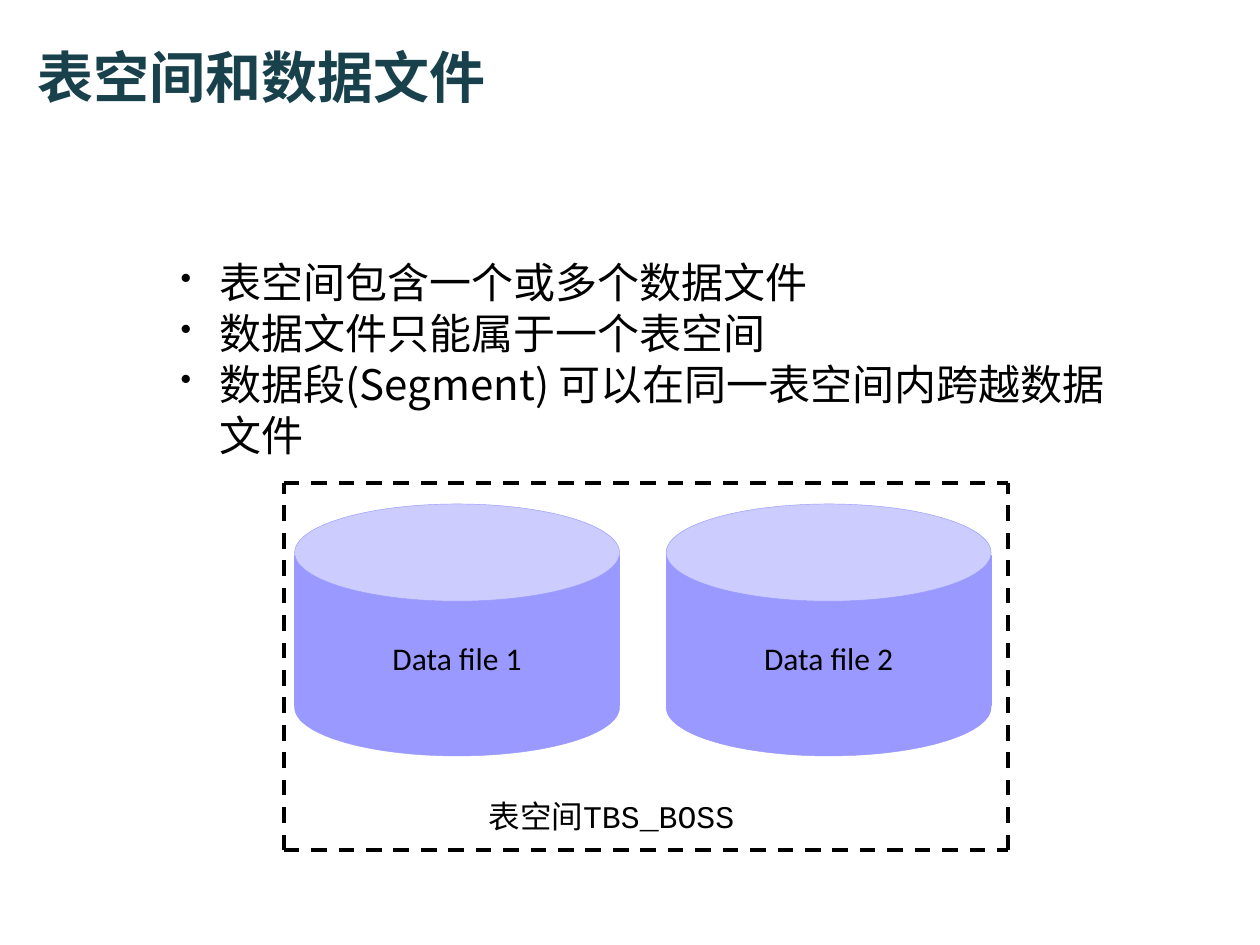
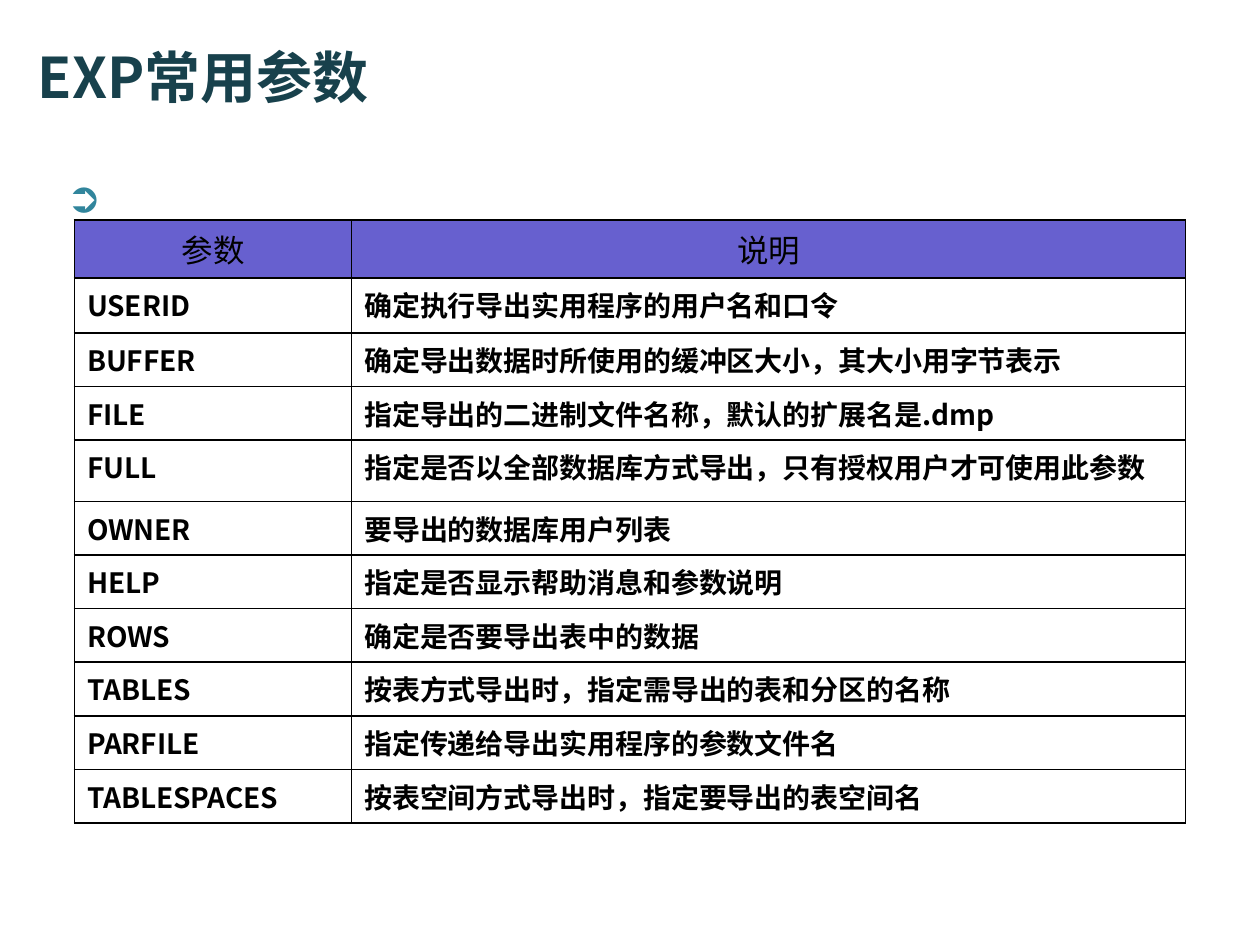
from dataclasses import dataclass

from lxml import etree
from pptx import Presentation
from pptx.dml.color import RGBColor
from pptx.enum.dml import MSO_LINE
from pptx.enum.shapes import MSO_CONNECTOR, MSO_SHAPE
from pptx.enum.text import MSO_ANCHOR, PP_ALIGN
from pptx.oxml.ns import qn
from pptx.util import Cm, Pt

RECTANGLE = MSO_SHAPE.RECTANGLE
OVAL = MSO_SHAPE.OVAL
STRAIGHT = MSO_CONNECTOR.STRAIGHT
DASH = MSO_LINE.DASH
LEFT, CENTER = PP_ALIGN.LEFT, PP_ALIGN.CENTER
TOP, MIDDLE = MSO_ANCHOR.TOP, MSO_ANCHOR.MIDDLE


@dataclass(frozen=True)
class Theme:
    title: str = "18414C"
    ink: str = "000000"
    marker: str = "31859C"
    file_body: str = "9999FF"
    file_top: str = "CCCCFF"
    table_head: str = "6760CF"
    sans: str = "Noto Sans CJK SC"
    latin: str = "Calibri"
    mono: str = "Courier New"
    title_size: int = 32
    body_size: int = 24
    label_size: int = 18
    cell_size: int = 16


THEME = Theme()


def add_node(parent, tag, **attributes):
    return etree.SubElement(parent, qn(tag), attributes)


def write_text(frame, text, *, size, font=THEME.sans, color=THEME.ink, bold=False,
               align=LEFT, spacing=None, bullet=None):
    for index, line in enumerate(text.split("\n")):
        paragraph = frame.add_paragraph() if index else frame.paragraphs[0]
        paragraph.alignment = align
        if spacing:
            paragraph.line_spacing = spacing
        if bullet:
            properties = paragraph._p.get_or_add_pPr()
            properties.set("marL", str(Cm(2.06)))
            properties.set("indent", str(Cm(-0.79)))
            add_node(properties, "a:buSzPct", val="75000")
            add_node(properties, "a:buChar", char=bullet)
        run = paragraph.add_run()
        run.text = line
        run.font.size = Pt(size)
        run.font.bold = bold
        run.font.name = font
        run.font.color.rgb = RGBColor.from_string(color)
        add_node(run._r.get_or_add_rPr(), "a:ea", typeface=THEME.sans)


class Deck:
    def __init__(self, theme):
        self.theme = theme
        self.presentation = Presentation()
        self.presentation.slide_width = Cm(25.4)
        self.presentation.slide_height = Cm(19.05)
        self.slide = None

    def new_slide(self, title):
        self.slide = self.presentation.slides.add_slide(self.presentation.slide_layouts[6])
        self.text(title, 0.51, 0.53, 22.35, 2.01, anchor=MIDDLE, bold=True,
                  size=self.theme.title_size, color=self.theme.title)

    def text(self, text, left, top, width, height, inset=(0.25, 0.13), anchor=TOP, **style):
        box = self.slide.shapes.add_textbox(Cm(left), Cm(top), Cm(width), Cm(height))
        frame = box.text_frame
        frame.word_wrap = True
        frame.vertical_anchor = anchor
        frame.margin_left = frame.margin_right = Cm(inset[0])
        frame.margin_top = frame.margin_bottom = Cm(inset[1])
        write_text(frame, text, **style)

    def label(self, text, left, top, width, **style):
        self.text(text, left, top, width, 0.83, inset=(0.15, 0.08),
                  size=self.theme.label_size, spacing=0.85, **style)

    def cylinder(self, left, width):
        group = self.slide.shapes.add_group_shape()
        body, lid = self.theme.file_body, self.theme.file_top
        for kind, top, height, fill in ((RECTANGLE, 11.2, 3.02, body),
                                        (OVAL, 10.16, 1.96, lid),
                                        (OVAL, 13.28, 1.96, body)):
            part = group.shapes.add_shape(kind, Cm(left), Cm(top), Cm(width), Cm(height))
            part.shadow.inherit = False
            part.fill.solid()
            part.fill.fore_color.rgb = RGBColor.from_string(fill)
            part.line.color.rgb = RGBColor.from_string(body)
            part.line.width = Pt(0.25)

    def dashed_line(self, x1, y1, x2, y2):
        edge = self.slide.shapes.add_connector(STRAIGHT, Cm(x1), Cm(y1), Cm(x2), Cm(y2))
        edge.line.color.rgb = RGBColor.from_string(self.theme.ink)
        edge.line.width = Pt(2.25)
        edge.line.dash_style = DASH
        add_node(edge._element.spPr, "a:effectLst")

    def dashed_frame(self, left, top, right, bottom):
        for y in (bottom, top):
            self.dashed_line(left, y, right, y)
        for x in (left, right):
            self.dashed_line(x, bottom, x, top)

    def border(self, cell):
        properties = cell._tc.get_or_add_tcPr()
        for side in "LRTB":
            edge = add_node(properties, f"a:ln{side}", w=str(Pt(1)))
            fill = add_node(edge, "a:solidFill")
            add_node(fill, "a:srgbClr", val=self.theme.ink)

    def table(self, rows, left, top, widths, heights):
        grid = self.slide.shapes.add_table(
            len(rows), len(widths), Cm(left), Cm(top), Cm(sum(widths)), Cm(sum(heights))).table
        grid.first_row = grid.horz_banding = False
        for column, width in zip(grid.columns, widths):
            column.width = Cm(width)
        for r, (entries, height) in enumerate(zip(rows, heights)):
            grid.rows[r].height = Cm(height)
            for c, entry in enumerate(entries):
                cell = grid.cell(r, c)
                self.border(cell)
                if r:
                    cell.fill.background()
                    write_text(cell.text_frame, entry, size=self.theme.cell_size, bold=True)
                else:
                    cell.fill.solid()
                    cell.fill.fore_color.rgb = RGBColor.from_string(self.theme.table_head)
                    write_text(cell.text_frame, entry, size=self.theme.label_size, align=CENTER)


TABLESPACE_FACTS = """表空间包含一个或多个数据文件
数据文件只能属于一个表空间
数据段(Segment) 可以在同一表空间内跨越数据文件"""

EXP_PARAMETERS = [
    ("参数", "说明"),
    ("USERID", "确定执行导出实用程序的用户名和口令"),
    ("BUFFER", "确定导出数据时所使用的缓冲区大小，其大小用字节表示"),
    ("FILE", "指定导出的二进制文件名称，默认的扩展名是.dmp"),
    ("FULL", "指定是否以全部数据库方式导出，只有授权用户才可使用此参数"),
    ("OWNER", "要导出的数据库用户列表"),
    ("HELP", "指定是否显示帮助消息和参数说明"),
    ("ROWS", "确定是否要导出表中的数据"),
    ("TABLES", "按表方式导出时，指定需导出的表和分区的名称"),
    ("PARFILE", "指定传递给导出实用程序的参数文件名"),
    ("TABLESPACES", "按表空间方式导出时，指定要导出的表空间名"),
]


def tablespace_slide(deck):
    deck.new_slide("表空间和数据文件")
    file_width, file_step = 6.55, 7.49
    file_lefts = [5.94 + i * file_step for i in range(2)]
    for left in file_lefts:
        deck.cylinder(left, file_width)
    deck.text(TABLESPACE_FACTS, 2.34, 5.14, 20.47, 3.23, inset=(0.03, 0.03),
              size=THEME.body_size, spacing=Pt(29), bullet="•")
    deck.dashed_frame(5.72, 9.73, 20.32, 17.14)
    deck.label("表空间TBS_BOSS", 9.7, 16.1, 6.6, font=THEME.mono)
    for number, left in enumerate(file_lefts, 1):
        deck.label(f"Data file {number}", left, 12.92, file_width,
                   font=THEME.latin, align=CENTER)


def parameter_slide(deck):
    deck.new_slide("EXP常用参数")
    deck.text("➲", 1.09, 3.3, 1.5, 1.1, size=THEME.body_size, color=THEME.marker, bold=True)
    heights = [1.17, 1.11, 1.08, 1.08, 1.24] + [1.08] * 6
    deck.table(EXP_PARAMETERS, 1.5, 4.43, [5.59, 16.81], heights)


def main():
    deck = Deck(THEME)
    tablespace_slide(deck)
    parameter_slide(deck)
    deck.presentation.save("out.pptx")


if __name__ == "__main__":
    main()
